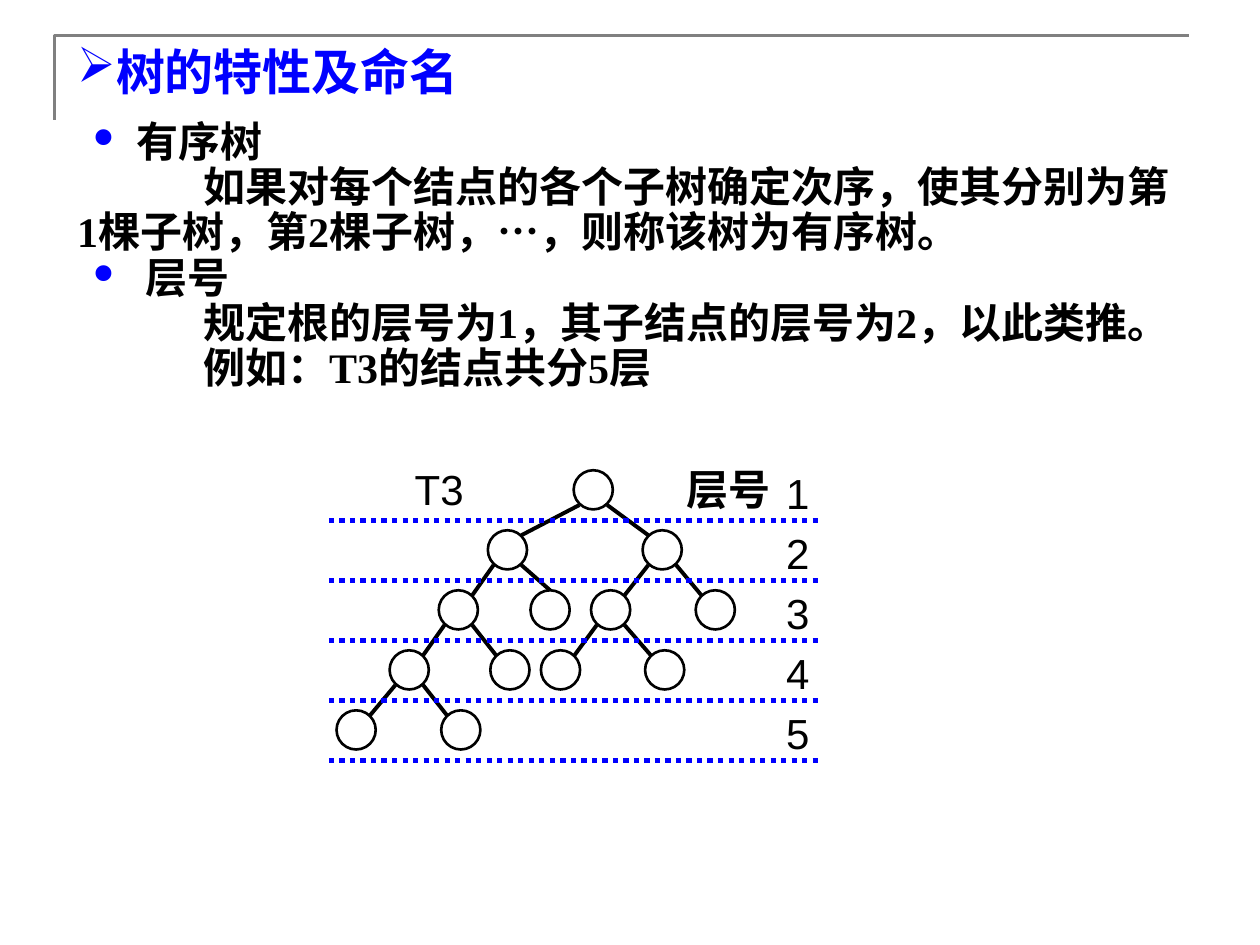
from dataclasses import dataclass
from typing import Optional

from lxml import etree
from pptx import Presentation
from pptx import util as u
from pptx.dml.color import RGBColor
from pptx.enum import dml, shapes, text
from pptx.oxml.ns import qn


@dataclass(frozen=True)
class Theme:
    ink: RGBColor = RGBColor(0, 0, 0)
    accent: RGBColor = RGBColor(0, 0, 255)
    frame: RGBColor = RGBColor(128, 128, 128)
    serif: str = "Times New Roman"
    sans: str = "Arial"
    title_size: int = 28
    text_size: int = 24


@dataclass(frozen=True)
class Node:
    """A tree node: horizontal centre in cm, level from 0, and parent's index."""
    x: float
    level: int
    parent: Optional[int] = None
    edge_to_top: bool = False


@dataclass(frozen=True)
class Item:
    wording: str
    bulleted: bool = False


@dataclass(frozen=True)
class Label:
    wording: str
    left: float
    top: float
    width: float
    bold: bool = False
    centred: bool = False


THEME = Theme()
ARROW_BULLET, DISC_BULLET = "Ø", "l"  # Wingdings codes
LEVELS = 5
LEVEL_GAP = 1.21
TREE_TOP = 9.48
DIAMETER = 0.79
EDGE_SIDE, EDGE_START, EDGE_END = 0.28, 0.7, 0.1

NODES = [
    Node(11.96, 0),
    Node(10.23, 1, 0), Node(13.35, 1, 0),
    Node(9.24, 2, 1), Node(11.09, 2, 1, edge_to_top=True),
    Node(12.31, 2, 2), Node(14.42, 2, 2),
    Node(8.25, 3, 3), Node(10.28, 3, 3),
    Node(11.3, 3, 5), Node(13.4, 3, 5),
    Node(7.18, 4, 7), Node(9.29, 4, 7),
]

ITEMS = [
    Item("有序树", bulleted=True),
    Item("如果对每个结点的各个子树确定次序，使其分别为第1棵子树，第2棵子树，…，则称该树为有序树。"),
    Item(" 层号", bulleted=True),
    Item("规定根的层号为1，其子结点的层号为2，以此类推。"),
    Item("例如：T3的结点共分5层"),
]


def level_y(first: float, level: int) -> float:
    return first + LEVEL_GAP * level


def place(shape, left: float, top: float, width: float, height: float) -> None:
    shape.left, shape.top = u.Cm(left), u.Cm(top)
    shape.width, shape.height = u.Cm(width), u.Cm(height)


def set_bullet(para, char: Optional[str], margin: float = 0, indent: float = 0,
               percent: int = 100) -> None:
    """Set indents in cm and the bullet; no char means no bullet."""
    props = para._p.get_or_add_pPr()
    props.set("marL", str(u.Cm(margin)))
    props.set("indent", str(u.Cm(indent)))
    props.set("hangingPunct", "0")
    if char is None:
        etree.SubElement(props, qn("a:buNone"))
        return
    colour = etree.SubElement(props, qn("a:buClr"))
    etree.SubElement(colour, qn("a:srgbClr"), val=str(THEME.accent))
    etree.SubElement(props, qn("a:buSzPct"), val=str(percent * 1000))
    etree.SubElement(props, qn("a:buFont"), typeface="Wingdings",
                     pitchFamily="2", charset="2")
    etree.SubElement(props, qn("a:buChar"), char=char)


def add_span(para, wording: str, face: str, size: int, colour: RGBColor,
             bold: bool = False) -> None:
    span = para.add_run()
    span.text = wording
    span.font.name = face
    span.font.size = u.Pt(size)
    span.font.bold = bold
    span.font.color.rgb = colour


def fill_title(title) -> None:
    place(title, 1.3, 0.71, 22.4, 1.45)
    title.text_frame.auto_size = text.MSO_AUTO_SIZE.NONE
    para = title.text_frame.paragraphs[0]
    para.alignment = text.PP_ALIGN.LEFT
    set_bullet(para, ARROW_BULLET)
    add_span(para, "树的特性及命名", THEME.serif, THEME.title_size, THEME.accent, True)


def fill_body(body) -> None:
    place(body, 1.3, 2.31, 22.86, 5.74)
    frame = body.text_frame
    frame.auto_size = text.MSO_AUTO_SIZE.NONE
    for index, item in enumerate(ITEMS):
        para = frame.add_paragraph() if index else frame.paragraphs[0]
        para.line_spacing = 0.9
        para.space_before = u.Pt(0)
        if item.bulleted:
            set_bullet(para, DISC_BULLET, margin=1.19, indent=-0.86, percent=65)
        else:
            set_bullet(para, None, indent=2.54)
        add_span(para, item.wording, THEME.serif, THEME.text_size, THEME.ink, True)


def add_frame(page) -> None:
    builder = page.shapes.build_freeform(u.Cm(1.1), u.Cm(2.41))
    builder.add_line_segments(
        [(u.Cm(1.1), u.Cm(0.72)), (u.Cm(23.96), u.Cm(0.72))], close=False)
    outline = builder.convert_to_shape()
    outline.shadow.inherit = False
    outline.fill.background()
    outline.line.color.rgb = THEME.frame
    outline.line.width = u.Pt(2)


def add_line(page, start: tuple[float, float], end: tuple[float, float],
             colour: RGBColor, weight: float):
    line = page.shapes.add_connector(
        shapes.MSO_CONNECTOR.STRAIGHT, *map(u.Cm, start + end))
    line.line.color.rgb = colour
    line.line.width = u.Pt(weight)
    etree.SubElement(line._element.spPr, qn("a:effectLst"))
    return line


def add_edge(page, parent: Node, child: Node) -> None:
    side = EDGE_SIDE if child.x > parent.x else -EDGE_SIDE
    start = (parent.x + side, level_y(TREE_TOP, parent.level) + EDGE_START)
    top = level_y(TREE_TOP, child.level)
    end = (child.x, top) if child.edge_to_top else (child.x - side, top + EDGE_END)
    add_line(page, start, end, THEME.ink, 2.25)


def add_node(page, node: Node) -> None:
    circle = page.shapes.add_shape(
        shapes.MSO_SHAPE.OVAL, u.Cm(node.x - DIAMETER / 2),
        u.Cm(level_y(TREE_TOP, node.level)), u.Cm(DIAMETER), u.Cm(DIAMETER))
    circle.shadow.inherit = False
    circle.fill.background()
    circle.line.color.rgb = THEME.ink
    circle.line.width = u.Pt(1.5)


def add_label(page, label: Label) -> None:
    box = page.shapes.add_textbox(
        u.Cm(label.left), u.Cm(label.top), u.Cm(label.width), u.Cm(1.08))
    frame = box.text_frame
    frame.word_wrap = False
    frame.auto_size = text.MSO_AUTO_SIZE.SHAPE_TO_FIT_TEXT
    frame.margin_left = frame.margin_right = u.Cm(0.05 if label.centred else 0.25)
    frame.margin_top = frame.margin_bottom = u.Cm(0.03)
    para = frame.paragraphs[0]
    para.alignment = text.PP_ALIGN.CENTER if label.centred else text.PP_ALIGN.LEFT
    add_span(para, label.wording, THEME.sans, THEME.text_size, THEME.ink, label.bold)


def main() -> None:
    deck = Presentation()
    deck.slide_width, deck.slide_height = u.Cm(25.4), u.Cm(19.05)
    page = deck.slides.add_slide(deck.slide_layouts[1])
    add_frame(page)
    fill_title(page.shapes.title)
    fill_body(page.placeholders[1])
    for node in NODES:
        add_node(page, node)
        if node.parent is not None:
            add_edge(page, NODES[node.parent], node)
    for level in range(LEVELS):
        y = level_y(10.49, level)
        divider = add_line(page, (6.63, y), (16.59, y), THEME.accent, 3)
        divider.line.dash_style = dml.MSO_LINE.ROUND_DOT
        add_label(page, Label(str(level + 1), 15.6, level_y(9.4, level), 1.09))
    add_label(page, Label("层号", 13.59, 9.32, 2.25, bold=True))
    add_label(page, Label("T3", 8.31, 9.32, 1.09, centred=True))
    deck.save("out.pptx")


if __name__ == "__main__":
    main()
